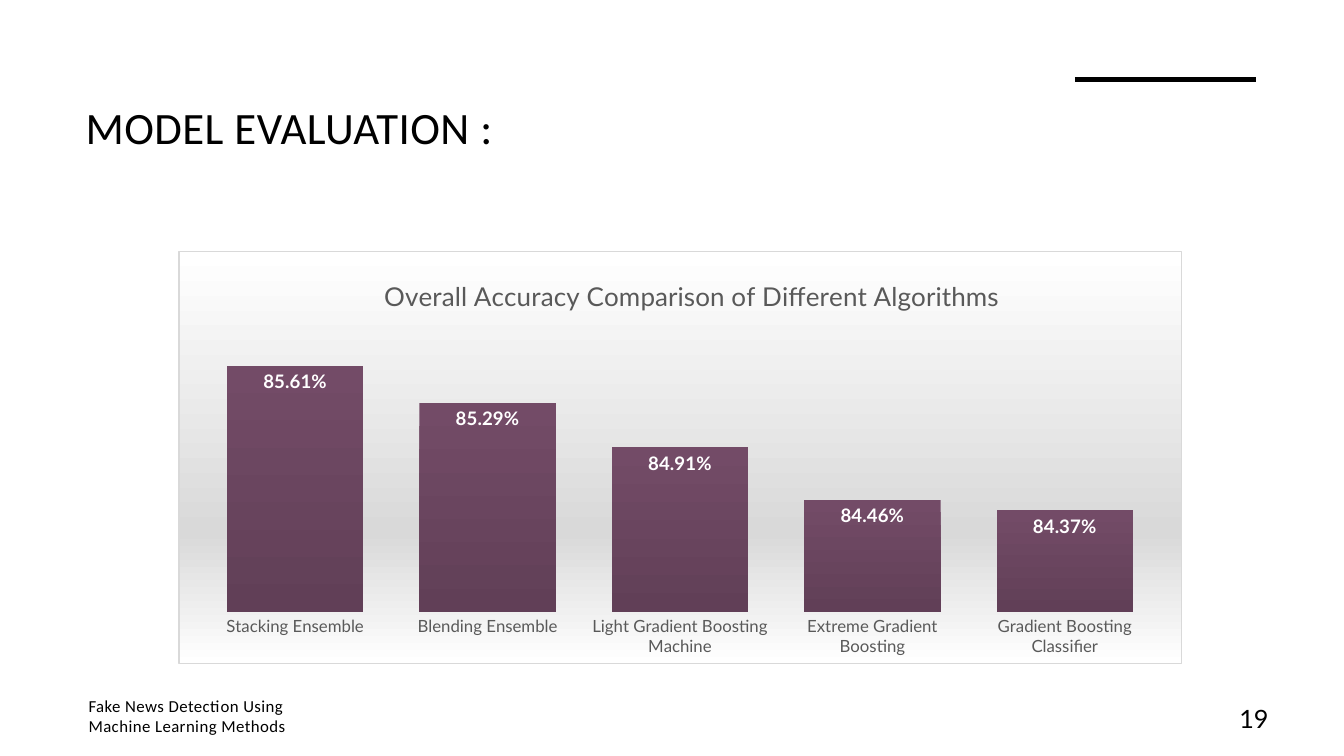
from lxml.etree import SubElement, Element
from pptx import Presentation
from pptx.chart.data import CategoryChartData
from pptx.dml.color import RGBColor
from pptx.enum.chart import XL_CHART_TYPE as CT, XL_LABEL_POSITION as LP, XL_TICK_MARK as TM
from pptx.enum.shapes import MSO_CONNECTOR as CONN
from pptx.enum.text import MSO_ANCHOR as ANCHOR, PP_ALIGN as ALIGN
from pptx.oxml.ns import qn
from pptx.util import Inches, Pt

BLACK, WHITE, GREY, PALE = "000000", "FFFFFF", "595959", "D9D9D9"
ACCURACY = {
    "Stacking Ensemble": 0.8561,
    "Blending Ensemble": 0.8529,
    "Light Gradient Boosting Machine": 0.8491,
    "Extreme Gradient Boosting": 0.8446,
    "Gradient Boosting Classifier": 0.8437,
}


def rgb(code):
    """Turn a hex string into a colour."""
    return RGBColor.from_string(code)


def style_font(font, size, color, name="Lato", bold=False):
    """Set size, colour, typeface and weight of a font."""
    font.size, font.name, font.bold = Pt(size), name, bold
    font.color.rgb = rgb(color)


def add_text(s, box, text, size, name="Calibri", align=ALIGN.LEFT,
             line=1.0, spacing=0, insets=(0.05, 0.05)):
    """Add a middle-anchored text box; a vertical tab breaks the line."""
    tf = s.shapes.add_textbox(*map(Inches, box)).text_frame
    tf.word_wrap, tf.vertical_anchor = True, ANCHOR.MIDDLE
    tf.margin_top, tf.margin_bottom = map(Inches, insets)
    p = tf.paragraphs[0]
    p.text, p.alignment, p.line_spacing = text, align, line
    for r in p.runs:
        style_font(r.font, size, BLACK, name)
        if spacing:
            r.font._element.set("spc", str(round(spacing * 100)))


def gradient(*stops):
    """Build a top-to-bottom gradient fill from (percent, colour) stops."""
    fill = Element(qn("a:gradFill"), rotWithShape="1")
    stop_list = SubElement(fill, qn("a:gsLst"))
    for percent, color in stops:
        stop = SubElement(stop_list, qn("a:gs"), pos=str(percent * 1000))
        SubElement(stop, qn("a:srgbClr"), val=color)
    SubElement(fill, qn("a:lin"), ang="5400000", scaled="0")
    return fill


def set_layout(parent, index, target=None, **fractions):
    """Place a chart part by fractions of the chart area."""
    for old in parent.findall(qn("c:layout")):
        parent.remove(old)
    layout = Element(qn("c:layout"))
    parent.insert(index, layout)
    manual = SubElement(layout, qn("c:manualLayout"))
    if target:
        SubElement(manual, qn("c:layoutTarget"), val=target)
    for axis in "xy":
        SubElement(manual, qn(f"c:{axis}Mode"), val="edge")
    for key, value in fractions.items():
        SubElement(manual, qn(f"c:{key}"), val=str(value))


def style_chart_area(chart):
    """Give the chart area its gradient and thin border."""
    area = Element(qn("c:spPr"))
    area.append(gradient((0, WHITE), (68, PALE), (100, WHITE)))
    border = SubElement(area, qn("a:ln"), w=str(Pt(0.75)))
    SubElement(SubElement(border, qn("a:solidFill")), qn("a:srgbClr"), val=PALE)
    chart.element.find(qn("c:chart")).addnext(area)


def add_accuracy_chart(s, box):
    """Add the column chart comparing the algorithms."""
    data = CategoryChartData(number_format="0.00%")
    data.categories = list(ACCURACY)
    data.add_series("Series 1", list(ACCURACY.values()))
    chart = s.shapes.add_chart(CT.COLUMN_CLUSTERED, *map(Inches, box), data).chart
    style_font(chart.font, 10, BLACK)
    style_chart_area(chart)
    chart.has_legend = False

    chart.has_title = True
    p = chart.chart_title.text_frame.paragraphs[0]
    r = p.add_run()
    r.text = "Overall Accuracy Comparison of Different Algorithms"
    style_font(r.font, 18.6, GREY)
    set_layout(chart.chart_title._element, 1, x=0.2, y=0.05)
    set_layout(chart.element.find(".//" + qn("c:plotArea")), 0, "inner",
               x=0.02, y=0.167, w=0.96, h=0.707)

    cat_axis, val_axis = chart.category_axis, chart.value_axis
    cat_axis.major_tick_mark = cat_axis.minor_tick_mark = TM.NONE
    cat_axis.format.line.fill.background()
    style_font(cat_axis.tick_labels.font, 12, GREY)
    val_axis.minimum_scale, val_axis.maximum_scale = 0.835, 0.86
    val_axis.has_major_gridlines = val_axis.visible = False

    plot = chart.plots[0]
    plot.gap_width, plot.vary_by_categories = 41, False
    plot.series[0]._element.get_or_add_spPr().append(
        gradient((0, "734B67"), (100, "613F57")))
    plot.has_data_labels = True
    labels = plot.data_labels
    labels.show_value, labels.position = True, LP.INSIDE_END
    labels.number_format, labels.number_format_is_linked = "0.00%", False
    style_font(labels.font, 13.3, WHITE, bold=True)


def add_header(s, left, top, right):
    """Add the accent rule at the right and the heading below it."""
    rule = s.shapes.add_connector(CONN.STRAIGHT, Inches(right - 1.8), Inches(top),
                                  Inches(right), Inches(top))
    rule.line.width, rule.line.color.rgb = Pt(3.5), rgb(BLACK)
    SubElement(rule._element.spPr, qn("a:effectLst"))
    add_text(s, (left, top + 0.12, 5.38, 0.76), "MODEL EVALUATION :", 32,
             line=0.9, spacing=0.3)


def add_footer(s, left, top, right, height):
    """Add the talk title at the left and the page number at the right."""
    add_text(s, (left, top, 4.96, height),
             "Fake News Detection Using\vMachine Learning Methods", 12,
             spacing=0.3, insets=(0, 0.1))
    add_text(s, (right - 0.74, top, 0.74, height), "19", 18, "Lato",
             ALIGN.RIGHT, line=0.9)


def main():
    """Build and save the slide."""
    prs = Presentation()
    prs.slide_width, prs.slide_height = Inches(13.33), Inches(7.5)
    s = prs.slides.add_slide(prs.slide_layouts[6])
    add_header(s, 0.75, 0.79, 12.46)
    add_accuracy_chart(s, (1.77, 2.49, 9.95, 4.1))
    add_footer(s, 0.78, 6.95, 12.68, 0.4)
    prs.save("out.pptx")


main()
